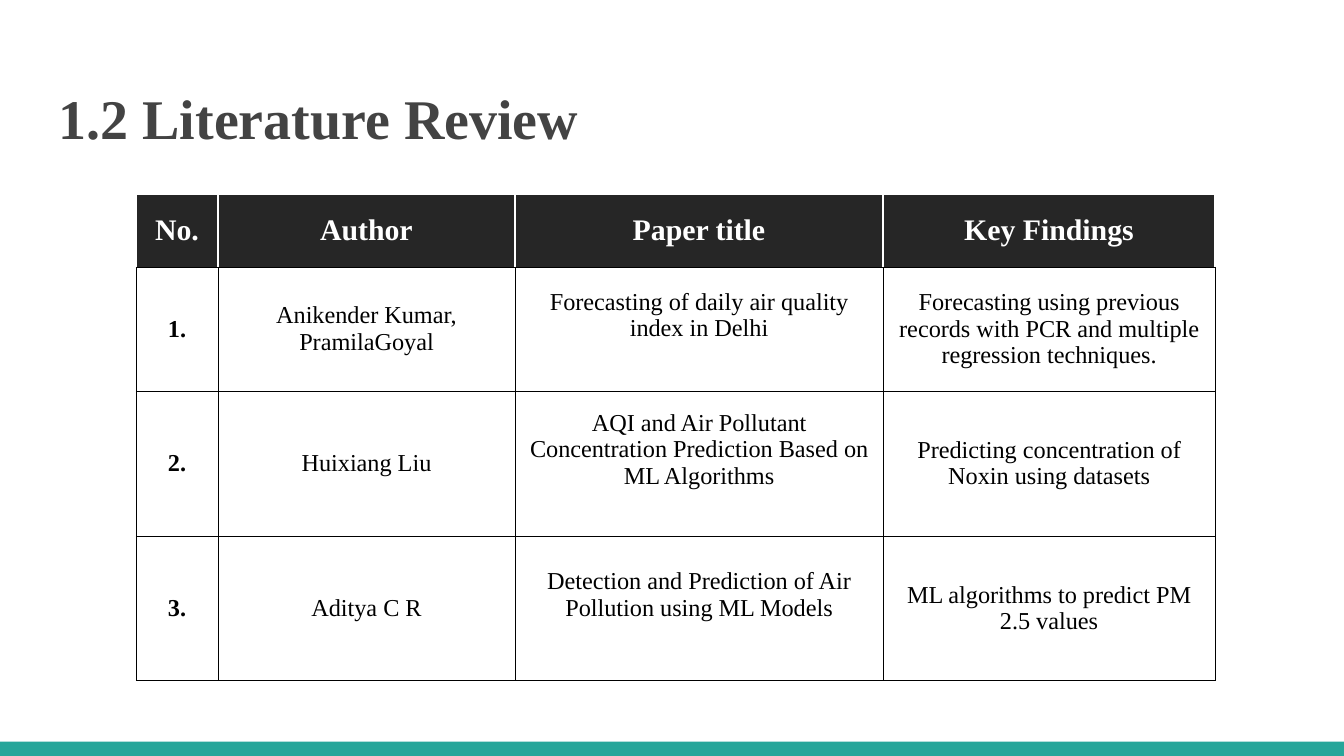
from lxml import etree
from pptx import Presentation
from pptx import util as u
from pptx.dml.color import RGBColor
from pptx.enum import shapes, text
from pptx.oxml import ns

FONT = "Times New Roman"
COLORS = {"accent": "26A69A", "title": "434343", "header": "262626",
          "white": "FFFFFF", "black": "000000"}
COLS = [1.55, 5.61, 6.96, 6.27]
ROWS = [1.37, 2.34, 2.74, 2.74]
PAPERS = [
    ["No.", "Author", "Paper title", "Key Findings"],
    ["1.", "Anikender Kumar,\nPramilaGoyal",
     "Forecasting of daily air quality index in Delhi",
     "Forecasting using previous records with PCR and multiple regression techniques."],
    ["2.", "Huixiang Liu",
     "AQI and Air Pollutant Concentration Prediction Based on ML Algorithms",
     "Predicting concentration of Noxin using datasets"],
    ["3.", "Aditya C R",
     "Detection and Prediction of Air Pollution using ML Models",
     "ML algorithms to predict PM 2.5 values"],
]


def rgb(name):
    """Return the named colour."""
    return RGBColor.from_string(COLORS[name])


def style(p, size, color, bold):
    """Set the font of a paragraph."""
    p.font.name, p.font.size, p.font.bold = FONT, u.Pt(size), bold
    p.font.color.rgb = rgb(color)


def set_border(cell, side, color, width):
    """Draw one edge (L, R, T or B) of a cell."""
    tag = ns.qn(f"a:ln{side}")
    ln = etree.SubElement(cell._tc.get_or_add_tcPr(), tag, w=str(u.Pt(width)))
    fill = etree.SubElement(ln, ns.qn("a:solidFill"))
    etree.SubElement(fill, ns.qn("a:srgbClr"), val=COLORS[color])


def add_footer(s, x, y, w, h):
    """Draw the accent bar."""
    sp = s.shapes.add_shape(shapes.MSO_SHAPE.RECTANGLE, x, y, w, h)
    sp.shadow.inherit = False
    sp.fill.solid()
    sp.fill.fore_color.rgb = rgb("accent")
    sp.line.fill.background()


def add_title(s, x, y, w, h, title):
    """Write the slide title."""
    tf = s.shapes.add_textbox(x, y, w, h).text_frame
    tf.word_wrap = True
    tf.margin_left = tf.margin_right = tf.margin_bottom = u.Cm(0.25)
    tf.margin_top = u.Cm(0.34)
    tf.text = title
    style(tf.paragraphs[0], 30, "title", True)


def fill_cell(cell, content, header, bold):
    """Write and colour one table cell."""
    for side in "LRTB":
        if header and side != "B":
            set_border(cell, side, "white", 1)
        else:
            set_border(cell, side, "black", 0.25)
    cell.fill.solid()
    cell.fill.fore_color.rgb = rgb("header" if header else "white")
    cell.vertical_anchor = text.MSO_ANCHOR.MIDDLE
    cell.text = content
    for p in cell.text_frame.paragraphs:
        p.alignment = text.PP_ALIGN.CENTER
        style(p, 16 if header else 13, "white" if header else "black", bold)


def add_papers(s, x, y, w, h):
    """Build the literature table with columns and rows in proportion."""
    table = s.shapes.add_table(len(ROWS), len(COLS), x, y, w, h).table
    table.first_row = table.horz_banding = False
    for col, size in zip(table.columns, COLS):
        col.width = int(w * size / sum(COLS))
    for row, size in zip(table.rows, ROWS):
        row.height = int(h * size / sum(ROWS))
    for i, paper in enumerate(PAPERS):
        for j, content in enumerate(paper):
            cell = table.cell(i, j)
            fill_cell(cell, content, i == 0, i == 0 or j == 0)
            if i and j == 2:
                cell.margin_bottom = u.Cm(0.64)


def main():
    """Build and save the slide."""
    prs = Presentation()
    prs.slide_width, prs.slide_height = u.Cm(25.4), u.Cm(14.29)
    s = prs.slides.add_slide(prs.slide_layouts[6])
    add_footer(s, 0, u.Cm(14.02), prs.slide_width, u.Cm(0.27))
    add_title(s, u.Cm(0.86), u.Cm(1.24), u.Cm(23.67), u.Cm(1.7),
              "1.2 Literature Review")
    add_papers(s, u.Cm(2.57), u.Cm(3.68), u.Cm(sum(COLS)), u.Cm(sum(ROWS)))
    prs.save("out.pptx")


if __name__ == "__main__":
    main()
